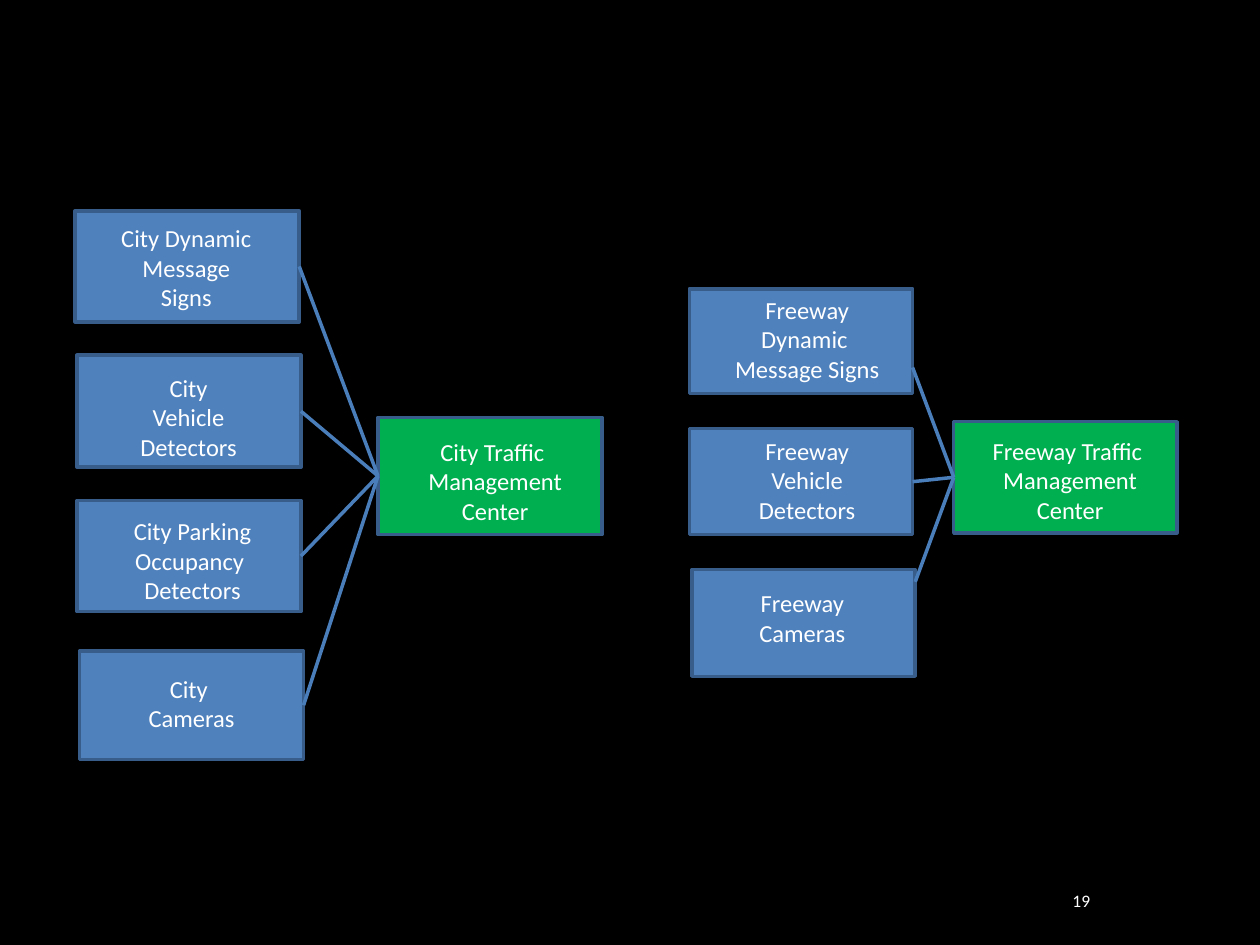
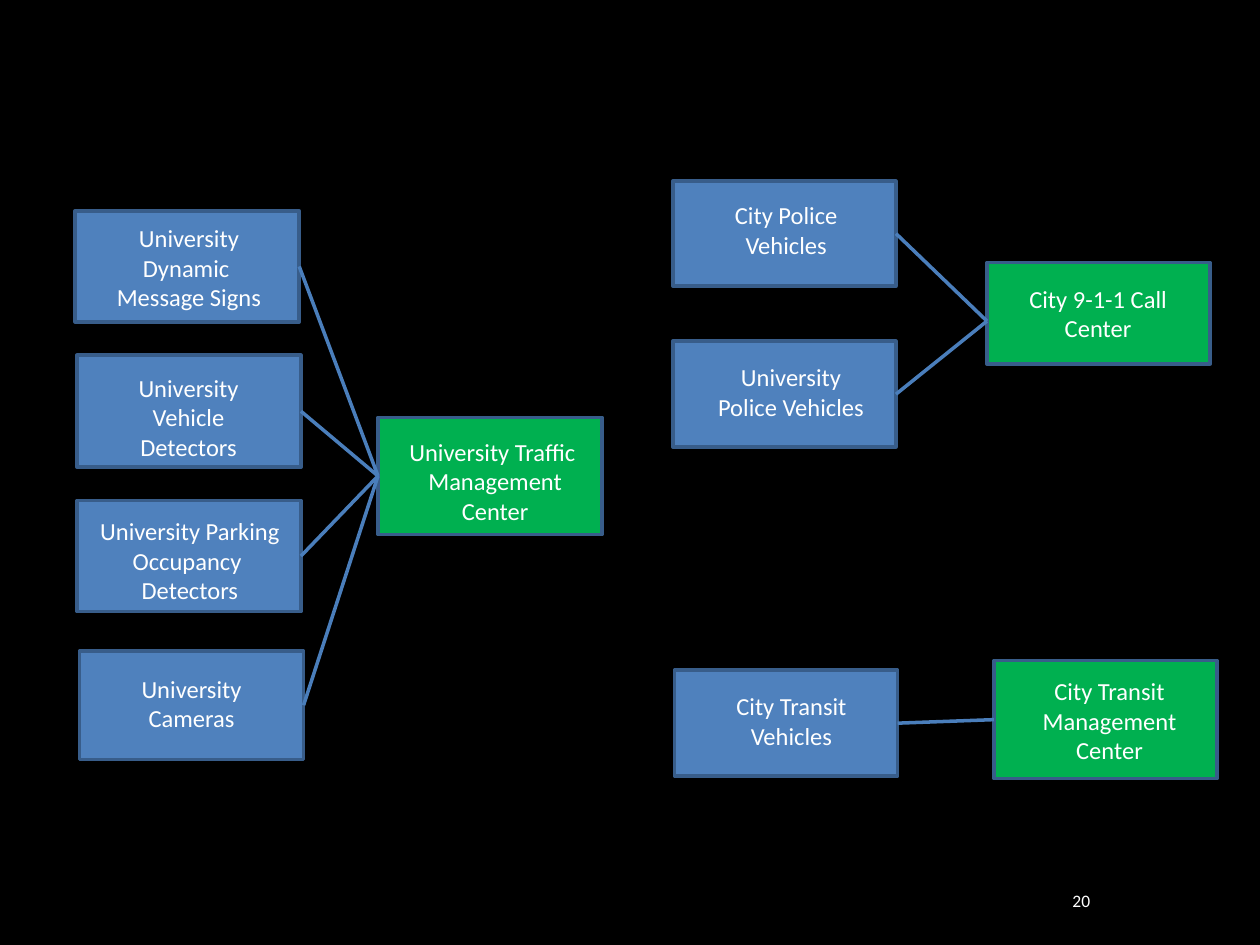
import pptx
import pptx.dml.color
import pptx.enum.shapes
import pptx.enum.text
import pptx.util
import lxml.etree

# Boxes are (left, top, width, height, label top); labels are (paragraphs, left, width).
TRAFFIC_LAYOUT = {
    "hub": (216, 238.5, 128, 67, 246.2),
    "devices": [
        (43, 120.5, 128, 63.5, 124),
        (44, 203, 128, 64, 209.5),
        (44, 286, 128, 63.5, 291.5),
        (45.5, 372, 128, 62, 381.5),
    ],
}
FREEWAY_LAYOUT = {
    "hub": (545, 241, 127.5, 63.5, 245.5),
    "devices": [
        (394, 165, 127.5, 60, 165),
        (394, 245, 127.5, 60.5, 245.5),
        (395.5, 325.5, 127.5, 61, 332.5),
    ],
    "exits": {0: 210, 2: 332.5},
}
POLICE_LAYOUT = {
    "hub": (564, 150, 127.5, 58, 158.5),
    "devices": [
        (384.5, 103.5, 127.5, 60, 111),
        (384.5, 195, 127.5, 60.5, 203.5),
    ],
    "entry": 183.5,
}
TRANSIT_LAYOUT = {
    "hub": (568, 377.5, 127.5, 67.5, 383),
    "devices": [(385.5, 383, 127.5, 60.5, 391.5)],
}

SLIDES = [
    ("19", [
        (TRAFFIC_LAYOUT, (["City Traffic ", "Management Center"], 221, 124), [
            (["City Dynamic ", "Message Signs"], 61, 91),
            (["City Vehicle", "Detectors"], 70, 75.5),
            (["City Parking", "Occupancy ", "Detectors"], 62, 96),
            (["City ", "Cameras"], 65.5, 88),
        ]),
        (FREEWAY_LAYOUT, (["Freeway Traffic ", "Management Center"], 550, 123), [
            (["Freeway Dynamic ", "Message Signs"], 408, 106.5),
            (["Freeway Vehicle", "Detectors"], 412, 98.5),
            (["Freeway", "Cameras"], 415, 87),
        ]),
    ]),
    ("20", [
        (TRAFFIC_LAYOUT, (["University Traffic ", "Management Center"], 221, 124), [
            (["University Dynamic ", "Message Signs"], 54, 108),
            (["University Vehicle", "Detectors"], 70, 75.5),
            (["University Parking", "Occupancy ", "Detectors"], 45.5, 126),
            (["University", "Cameras"], 65.5, 88),
        ]),
        (POLICE_LAYOUT, (["City 9-1-1 Call Center"], 566, 123), [
            (["City Police Vehicles"], 396, 106.5),
            (["University Police Vehicles"], 402.5, 99),
        ]),
        (TRANSIT_LAYOUT, (["City Transit", "Management Center"], 572.5, 123), [
            (["City Transit Vehicles"], 403, 98.5),
        ]),
    ]),
]

COLOURS = {"ground": "000000", "text": "FFFFFF", "hub": "00B050",
           "device": "4F81BD", "outline": "385D8A", "link": "4A7EBB"}
LABEL_FONT = {"name": "Calibri", "size": pptx.util.Pt(14)}
NUMBER_FONT = {"name": "Calibri", "size": pptx.util.Pt(10)}
LABEL_HEIGHT = 42.5
NUMBER_BOX = (580.5, 504, 49.5, 21.5)
RIGHT_SIDE, LEFT_SIDE = 3, 1


def points(*lengths):
    return [pptx.util.Pt(length) for length in lengths]


def paint(colour_format, role):
    colour_format.rgb = pptx.dml.color.RGBColor.from_string(COLOURS[role])


def draw_outline(line, role):
    paint(line.color, role)
    line.width = pptx.util.Pt(2)


def write(shapes, paragraphs, place, font, align, anchor="TOP"):
    frame = shapes.add_textbox(*points(*place)).text_frame
    frame.word_wrap = True
    frame.vertical_anchor = getattr(pptx.enum.text.MSO_ANCHOR, anchor)
    frame.text = "\n".join(paragraphs)
    for paragraph in frame.paragraphs:
        paragraph.alignment = getattr(pptx.enum.text.PP_ALIGN, align)
        run_font = paragraph.runs[0].font
        for attribute, value in font.items():
            setattr(run_font, attribute, value)
        paint(run_font.color, "text")


def draw_node(shapes, role, box, label):
    *place, label_top = box
    paragraphs, label_left, label_width = label
    node = shapes.add_shape(pptx.enum.shapes.MSO_SHAPE.RECTANGLE, *points(*place))
    node.shadow.inherit = False
    node.fill.solid()
    paint(node.fill.fore_color, role)
    draw_outline(node.line, "outline")
    write(shapes, paragraphs, (label_left, label_top, label_width, LABEL_HEIGHT),
          LABEL_FONT, "CENTER")
    return node


def draw_link(shapes, device, hub, exit_y, entry_y):
    start_y = device.top + device.height // 2 if exit_y is None else pptx.util.Pt(exit_y)
    end_y = hub.top + hub.height // 2 if entry_y is None else pptx.util.Pt(entry_y)
    link = shapes.add_connector(pptx.enum.shapes.MSO_CONNECTOR.STRAIGHT,
                                device.left + device.width, start_y, hub.left, end_y)
    if exit_y is None:
        link.begin_connect(device, RIGHT_SIDE)
    if entry_y is None:
        link.end_connect(hub, LEFT_SIDE)
    draw_outline(link.line, "link")
    properties = link._element.spPr
    lxml.etree.SubElement(properties, pptx.oxml.ns.qn("a:effectLst"))


def draw_network(slide, layout, hub_label, device_labels):
    shapes = slide.shapes.add_group_shape().shapes
    hub = draw_node(shapes, "hub", layout["hub"], hub_label)
    devices = [draw_node(shapes, "device", box, label)
               for box, label in zip(layout["devices"], device_labels)]
    exits = layout.get("exits", {})
    for index, device in enumerate(devices):
        draw_link(shapes, device, hub, exits.get(index), layout.get("entry"))


def main():
    """Build the slides that link field devices to their management centers."""
    deck = pptx.Presentation()
    deck.slide_width, deck.slide_height = points(720, 540)
    ground = deck.slide_master.background.fill
    ground.solid()
    paint(ground.fore_color, "ground")
    for number, networks in SLIDES:
        slide = deck.slides.add_slide(deck.slide_layouts.get_by_name("Blank"))
        for network in networks:
            draw_network(slide, *network)
        write(slide.shapes, [number], NUMBER_BOX, NUMBER_FONT, "RIGHT", "MIDDLE")
    deck.save("out.pptx")


if __name__ == "__main__":
    main()
